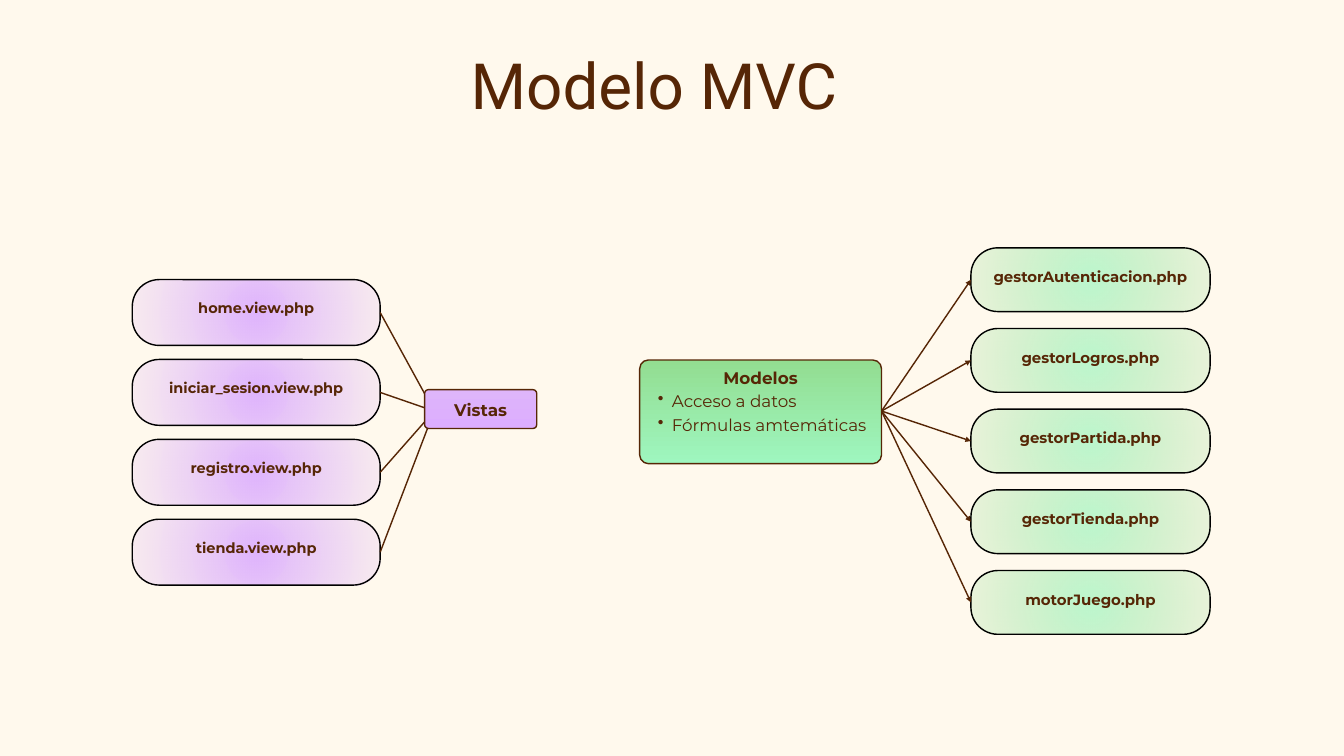
from pptx import Presentation
from pptx.dml.color import RGBColor
from pptx.enum.shapes import MSO_CONNECTOR, MSO_SHAPE
from pptx.enum.text import MSO_ANCHOR, PP_ALIGN
from pptx.oxml.ns import qn
from pptx.util import Cm, Pt
from lxml.etree import SubElement

CREAM = RGBColor(0xFF, 0xF9, 0xED)
BROWN = RGBColor(0x56, 0x26, 0x06)
BLACK = RGBColor(0x00, 0x00, 0x00)
PURPLES = (RGBColor(0xDC, 0xAD, 0xFF), RGBColor(0xDE, 0xB5, 0xFA))
GREENS = (RGBColor(0x9E, 0xF6, 0xBF), RGBColor(0x93, 0xDD, 0x91))

VIEWS = ["home.view.php", "iniciar_sesion.view.php", "registro.view.php", "tienda.view.php"]
MODELS = ["gestorAutenticacion.php", "gestorLogros.php", "gestorPartida.php",
          "gestorTienda.php", "motorJuego.php"]


def style_paragraph(para, size, spacing, font="Montserrat", bold=True, align=PP_ALIGN.CENTER):
    """Set the spacing, alignment and font of a paragraph."""
    para.alignment = align
    para.line_spacing = Pt(spacing)
    for span in para.runs:
        span.font.name = font
        span.font.size = Pt(size)
        span.font.bold = bold
        span.font.color.rgb = BROWN


def add_bullet(para):
    """Give a paragraph a hanging round bullet."""
    properties = para._p.get_or_add_pPr()
    properties.set("marL", str(Cm(1.07)))
    properties.set("indent", str(Cm(-0.53)))
    SubElement(properties, qn("a:buChar")).set("char", "•")


def fill_radial(shape, colors, opacities):
    """Fill a shape with a translucent gradient spreading from its centre."""
    fill_gradient(shape, colors)
    gradient = shape._element.spPr.find(qn("a:gradFill"))
    for color, opacity in zip(gradient.iter(qn("a:srgbClr")), opacities):
        SubElement(color, qn("a:alpha")).set("val", str(opacity * 1000))
    gradient.remove(gradient.find(qn("a:lin")))
    circle = SubElement(gradient, qn("a:path"))
    circle.set("path", "circle")
    center = SubElement(circle, qn("a:fillToRect"))
    for side in "ltrb":
        center.set(side, "50000")


def fill_gradient(shape, colors):
    """Fill a shape with a gradient rising from bottom to top."""
    shape.fill.gradient()
    shape.fill.gradient_angle = 90
    for stop, color in zip(shape.fill.gradient_stops, colors):
        stop.color.rgb = color


def add_rounded(page, left, top, width, height, radius, line, lift):
    """Add a rounded box whose centred text sits higher by half the lift."""
    box = page.shapes.add_shape(
        MSO_SHAPE.ROUNDED_RECTANGLE, Cm(left), Cm(top), Cm(width), Cm(height))
    box.adjustments[0] = radius / height
    box.shadow.inherit = False
    box.line.color.rgb = line
    box.line.width = Pt(1.5)
    frame = box.text_frame
    frame.word_wrap = True
    frame.vertical_anchor = MSO_ANCHOR.MIDDLE
    frame.margin_left = frame.margin_right = frame.margin_top = Cm(0.05)
    frame.margin_bottom = Cm(0.05 + lift)
    return box


def add_arrow(page, start, end):
    """Draw a brown arrow between two points."""
    arrow = page.shapes.add_connector(MSO_CONNECTOR.STRAIGHT, *map(Cm, start + end))
    arrow.line.color.rgb = BROWN
    arrow.line.width = Pt(1.5)
    SubElement(arrow.line._get_or_add_ln(), qn("a:tailEnd")).set("type", "triangle")
    SubElement(arrow._element.spPr, qn("a:effectLst"))


def add_file_column(page, names, left, top, width, height, pitch, colors, opacities, size, lift):
    """Stack one pill per file and return the middle height of each."""
    middles = []
    for index, name in enumerate(names):
        pill_top = top + index * pitch
        pill = add_rounded(page, left, pill_top, width, height, 1.02, BLACK, lift)
        fill_radial(pill, colors, opacities)
        pill.text_frame.text = name
        style_paragraph(pill.text_frame.paragraphs[0], size, size * 1.4)
        middles.append(pill_top + height / 2)
    return middles


def add_title(page, left, top, width, height):
    """Write the slide title."""
    box = page.shapes.add_textbox(Cm(left), Cm(top), Cm(width), Cm(height))
    frame = box.text_frame
    frame.word_wrap = True
    frame.margin_left = frame.margin_right = frame.margin_top = frame.margin_bottom = 0
    frame.text = "Modelo MVC"
    style_paragraph(frame.paragraphs[0], 68.3, 55.3, "Roboto", False)


def add_views(page, left, top):
    """Draw the view files, their arrows and the views box."""
    width = 9.37
    middles = add_file_column(
        page, VIEWS, left, top, width, 2.49, 3.02, PURPLES, (91, 19), 15.5, 0.48)
    for middle in middles:
        add_arrow(page, (left + width, middle), (left + 11.41, top + 4.97))
    box = add_rounded(page, left + 11.05, top + 4.16, 4.24, 1.47, 0.15, BROWN, 0.08)
    fill_gradient(box, PURPLES)
    box.text_frame.text = "Vistas"
    style_paragraph(box.text_frame.paragraphs[0], 18, 25.2)


def add_models(page, left, top):
    """Draw the models box, its arrows and the model files."""
    width, column_left = 9.14, left + 12.52
    middles = add_file_column(
        page, MODELS, column_left, top, 9.04, 2.41, 3.05, GREENS, (70, 19), 16, 0.36)
    for middle in middles:
        add_arrow(page, (left + width, top + 6.17), (column_left, middle))
    box = add_rounded(page, left, top + 4.24, width, 3.92, 0.33, BROWN, 0)
    fill_gradient(box, GREENS)
    frame = box.text_frame
    frame.vertical_anchor = MSO_ANCHOR.TOP
    frame.text = "Modelos\nAcceso a datos\nFórmulas amtemáticas"
    heading, *items = frame.paragraphs
    style_paragraph(heading, 18, 25.2)
    for item in items:
        add_bullet(item)
        style_paragraph(item, 18, 25.2, bold=False, align=PP_ALIGN.LEFT)


def main():
    """Build the slide and save the deck."""
    deck = Presentation()
    deck.slide_width, deck.slide_height = Cm(50.8), Cm(28.58)
    page = deck.slides.add_slide(deck.slide_layouts[6])
    page.background.fill.solid()
    page.background.fill.fore_color.rgb = CREAM
    add_title(page, 14.38, 2.67, 20.68, 2.41)
    add_views(page, 5, 10.57)
    add_models(page, 24.18, 9.37)
    deck.save("out.pptx")


if __name__ == "__main__":
    main()
